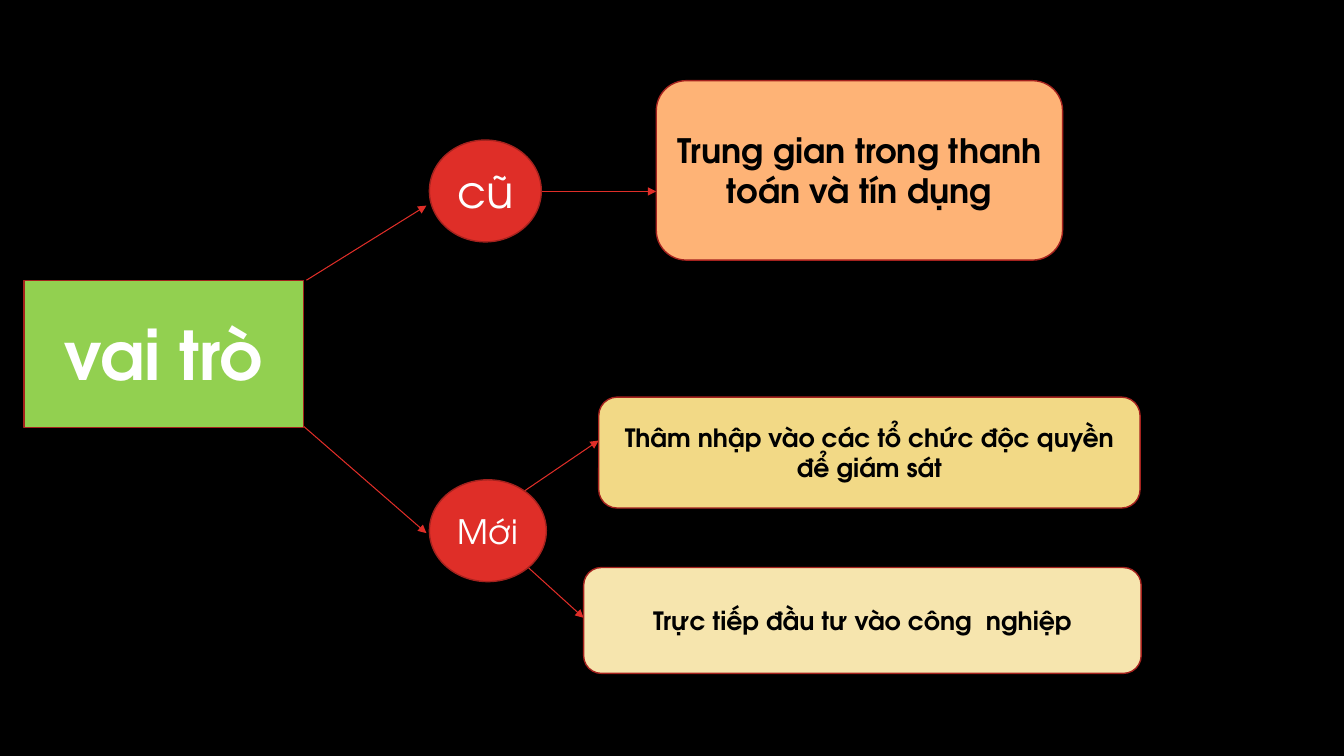
from lxml import etree
from pptx import Presentation
from pptx import util as u
from pptx.dml.color import RGBColor
from pptx.enum import shapes, text
from pptx.oxml.ns import qn

deck = Presentation()
deck.slide_width, deck.slide_height = u.Inches(13.33), u.Inches(7.5)
page = deck.slides.add_slide(deck.slide_layouts[6])
kind = shapes.MSO_SHAPE


def paint(target, colour):
    """Give a fill a solid hex colour."""
    target.solid()
    target.fore_color.rgb = RGBColor.from_string(colour)


def place(*shares):
    """Turn percentages of the slide, across and down in turn, into lengths."""
    sizes = (deck.slide_width, deck.slide_height) * 2
    return [u.Emu(round(size * share / 100)) for size, share in zip(sizes, shares)]


paint(page.background.fill, "000000")

# Arrows: start and end in percent of the slide
arrows = [
    (22.6, 56.4, 31.73, 70.53),   # topic to new role
    (22.8, 37.07, 31.73, 27.2),   # topic to old role
    (40.28, 25.33, 48.83, 25.33),
    (38.7, 65.33, 44.55, 58.27),
    (39.3, 75.07, 43.43, 81.73),
]
for ends in arrows:
    arrow = page.shapes.add_connector(shapes.MSO_CONNECTOR.STRAIGHT, *place(*ends))
    paint(arrow.line.fill, "DF2E28")
    arrow.line.width = u.Pt(0.75)
    etree.SubElement(arrow.line._get_or_add_ln(), qn("a:tailEnd"), type="triangle")
    etree.SubElement(arrow._element.spPr, qn("a:effectLst"))

# Topic, roles and details: kind, place in percent, fill, words, colour, format
nodes = [
    (kind.RECTANGLE, (1.8, 37.07, 20.78, 19.47), "92D050",
     "vai trò", "FFFFFF", {"size": u.Pt(48), "bold": True}),
    (kind.OVAL, (31.95, 18.53, 8.33, 13.47), "DF2E28",
     "cũ", "FFFFFF", {"size": u.Pt(32)}),
    (kind.OVAL, (31.95, 63.47, 8.7, 13.47), "DF2E28",
     "Mới", "FFFFFF", {"size": u.Pt(24)}),
    (kind.ROUNDED_RECTANGLE, (48.83, 10.67, 30.23, 23.73), "FEB376",
     "Trung gian trong thanh toán và tín dụng", "000000",
     {"size": u.Pt(24), "bold": True}),
    (kind.ROUNDED_RECTANGLE, (44.55, 52.53, 40.28, 14.67), "F2D986",
     "Thâm nhập vào các tổ chức độc quyền để giám sát", "000000",
     {"size": u.Pt(18), "bold": True}),
    (kind.ROUNDED_RECTANGLE, (43.43, 75.07, 41.48, 14), "F6E5AE",
     "Trực tiếp đầu tư vào công  nghiệp", "000000",
     {"size": u.Pt(18), "bold": True}),
]
for outline, area, fill, words, colour, style in nodes:
    box = page.shapes.add_shape(outline, *place(*area))
    box.shadow.inherit = False
    paint(box.fill, fill)
    paint(box.line.fill, "A5221E")
    box.line.width = u.Pt(1)
    box.text_frame.word_wrap = True
    box.text_frame.vertical_anchor = text.MSO_ANCHOR.MIDDLE
    para = box.text_frame.paragraphs[0]
    para.alignment = text.PP_ALIGN.CENTER
    span = para.add_run()
    span.text = words
    paint(span.font.fill, colour)
    for name, value in {"name": "TeX Gyre Adventor", **style}.items():
        setattr(span.font, name, value)

deck.save("out.pptx")
